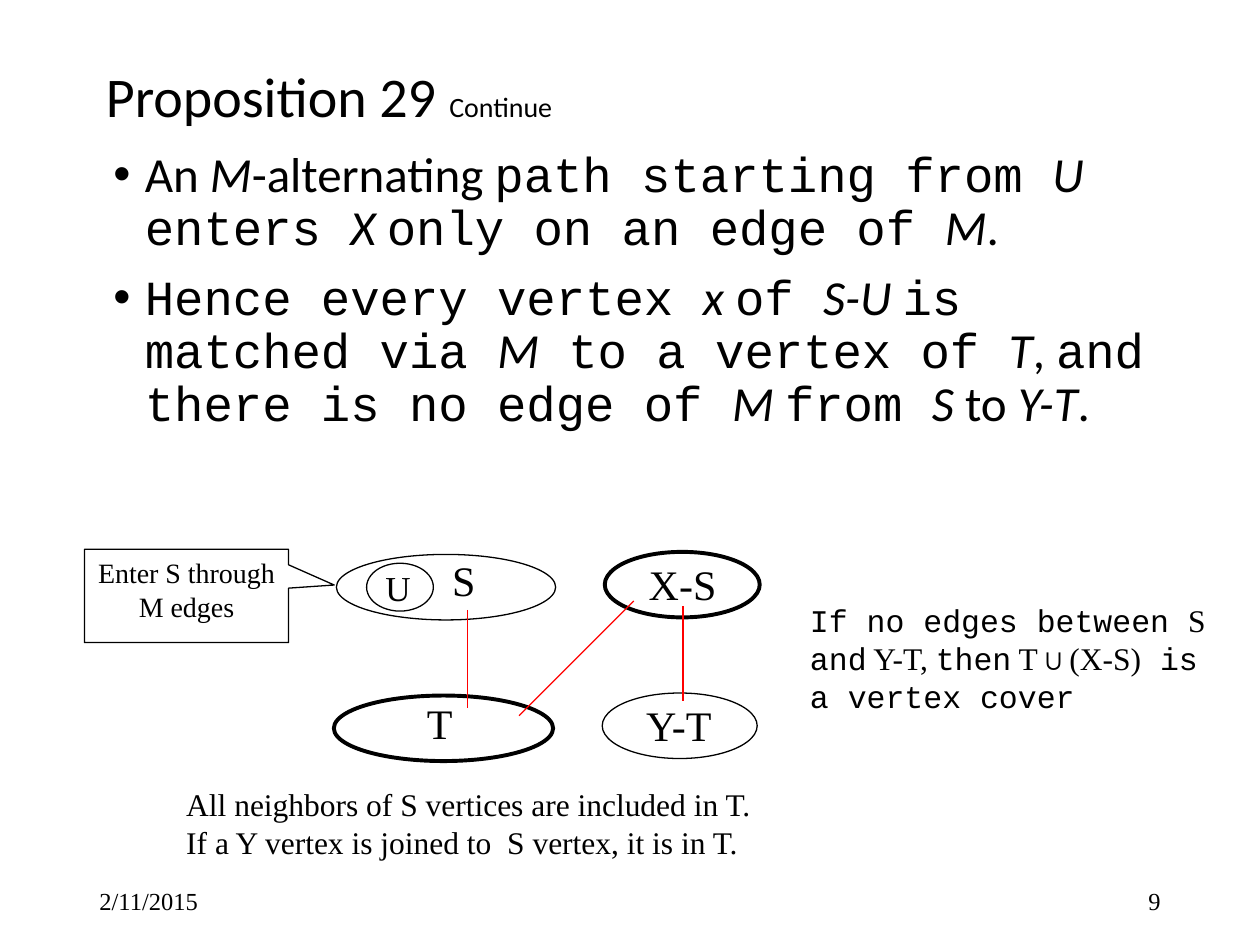
from lxml import etree
from pptx import Presentation
from pptx import util as u
from pptx.dml.color import RGBColor
from pptx.enum import shapes, text
from pptx.oxml.ns import qn

COLORS = {"ink": "000000", "edge": "FF0000"}
STYLES = {
    "mono": {"name": "Courier New", "italic": False},
    "sans": {"name": "Calibri", "italic": False},
    "var": {"name": "Calibri", "italic": True},
    "serif": {"name": "Times New Roman", "italic": False},
}
LEFT, CENTER, RIGHT = text.PP_ALIGN.LEFT, text.PP_ALIGN.CENTER, text.PP_ALIGN.RIGHT


def color(key):
    return RGBColor.from_string(COLORS[key])


def apply(obj, values):
    for name, value in values.items():
        setattr(obj, name, value)


def place(sp, box):
    apply(sp, dict(zip(("left", "top", "width", "height"), map(u.Inches, box))))


def add_runs(p, runs, size):
    for words, style, *own_size in runs:
        r = p.add_run()
        r.text = words
        apply(r.font, {**STYLES[style], "size": u.Pt(own_size[0] if own_size else size)})
        r.font.color.rgb = color("ink")


def fill_frame(tf, paragraphs, size, align=LEFT, anchor=text.MSO_ANCHOR.TOP):
    apply(tf, {"word_wrap": True, "auto_size": text.MSO_AUTO_SIZE.NONE, "vertical_anchor": anchor})
    for i, runs in enumerate(paragraphs):
        p = tf.add_paragraph() if i else tf.paragraphs[0]
        p.alignment = align
        add_runs(p, runs, size)


def add_text(s, box, paragraphs, size, **options):
    sp = s.shapes.add_textbox(*map(u.Inches, box))
    fill_frame(sp.text_frame, paragraphs, size, **options)


def add_outline(s, kind, box, weight=0.75):
    sp = s.shapes.add_shape(kind, *map(u.Inches, box))
    sp.shadow.inherit = False
    sp.fill.background()
    sp.line.color.rgb = color("ink")
    sp.line.width = u.Pt(weight)
    return sp


def add_edge(s, start, end):
    line = s.shapes.add_connector(shapes.MSO_CONNECTOR.STRAIGHT, *map(u.Inches, start + end))
    line.line.color.rgb = color("edge")
    line.line.width = u.Pt(0.75)
    etree.SubElement(line._element.spPr, qn("a:effectLst"))


def title(s, box):
    sp = s.shapes.title
    place(sp, box)
    runs = [("Proposition 29 ", "sans"), ("Continue", "sans", 16)]
    fill_frame(sp.text_frame, [runs], 32, anchor=text.MSO_ANCHOR.MIDDLE)
    sp.text_frame.paragraphs[0].line_spacing = 0.9


def body(s, box):
    sp = s.placeholders[1]
    place(sp, box)
    fill_frame(sp.text_frame, [
        [("An ", "sans"), ("M", "var"), ("-alternating ", "sans"),
         ("path starting from ", "mono"), ("U ", "var"), ("enters ", "mono"),
         ("X ", "var"), ("only on an edge of ", "mono"), ("M", "var"), (".", "sans")],
        [("Hence every vertex ", "mono"), ("x ", "var"), ("of ", "mono"),
         ("S-U ", "var"), ("is matched via ", "mono"), ("M", "var"),
         (" to a vertex of ", "mono"), ("T", "var"), (", ", "sans"),
         ("and there is no edge of ", "mono"), ("M ", "var"), ("from ", "mono"),
         ("S", "var"), (" to ", "sans"), ("Y-T", "var"), (".", "sans")],
    ], 28)
    for i, p in enumerate(sp.text_frame.paragraphs):
        pPr = p._p.get_or_add_pPr()
        pPr.set("marL", str(u.Inches(0.25)))
        pPr.set("indent", str(-u.Inches(0.25)))
        etree.SubElement(pPr, qn("a:buFont"), typeface="Arial")
        etree.SubElement(pPr, qn("a:buChar"), char="•")
        apply(p, {"line_spacing": 0.9, "space_before": u.Pt(10 if i else 0)})


def diagram(s, box):
    x, y = box[:2]
    oval = shapes.MSO_SHAPE.OVAL
    sets = [
        ("S", (0.02, 0.05), 1.74, 0.75, (0.84, 0)),
        ("X-S", (2.15, 0.03), 1.23, 2.25, (2.4, 0.03)),
        ("T", (0, 1.17), 1.74, 2.25, (0.64, 1.14)),
        ("Y-T", (2.13, 1.15), 1.23, 0.75, (2.38, 1.15)),
    ]
    for label, (dx, dy), width, weight, (tx, ty) in sets:
        add_outline(s, oval, (x + dx, y + dy, width, 0.52), weight)
        add_text(s, (x + tx, y + ty, 0.81, 0.5), [[(label, "serif")]], 24)
    add_text(s, (x + 0.31, y + 0.1, 0.81, 0.44), [[("U", "serif")]], 20)
    add_outline(s, oval, (x + 0.26, y + 0.12, 0.53, 0.38))
    edges = [((1.47, 1.33), (2.38, 0.42)), ((1.06, 0.49), (1.06, 1.27)), ((2.77, 0.46), (2.77, 1.21))]
    for (x1, y1), (x2, y2) in edges:
        add_edge(s, (x + x1, y + y1), (x + x2, y + y2))


def callout(s, box):
    sp = add_outline(s, shapes.MSO_SHAPE.RECTANGULAR_CALLOUT, box)
    sp.adjustments[0], sp.adjustments[1] = 0.724, -0.117
    fill_frame(sp.text_frame, [[("Enter S through M edges", "serif")]], 16, align=CENTER)


def cover_note(s, box):
    add_text(s, box, [[
        ("If no edges between ", "mono"), ("S ", "serif"), ("and", "mono"),
        (" Y-T, ", "serif"), ("then", "mono"), (" T∪(X-S)", "serif"),
        (" is a vertex cover", "mono"),
    ]], 18)


def neighbor_note(s, box):
    lines = ["All neighbors of S vertices are included in T.",
             "If a Y vertex is joined to  S vertex, it is in T."]
    add_text(s, box, [[(line, "serif")] for line in lines], 18)


def footer(s, box):
    x, y, width, height = box
    part = 2.25
    for left, words, align in ((x, "2/11/2015", LEFT), (x + width - part, "9", RIGHT)):
        add_text(s, (left, y, part, height), [[(words, "serif")]], 14,
                 align=align, anchor=text.MSO_ANCHOR.MIDDLE)


def main():
    prs = Presentation()
    prs.slide_width, prs.slide_height = u.Inches(10), u.Inches(7.5)
    s = prs.slides.add_slide(prs.slide_layouts[1])
    footer(s, (0.69, 6.95, 8.62, 0.4))
    title(s, (0.74, 0.29, 8.5, 1))
    body(s, (0.8, 1.14, 8.76, 2.58))
    diagram(s, (2.65, 4.35, 3.38, 1.69))
    cover_note(s, (6.33, 4.72, 3.39, 1.01))
    callout(s, (0.67, 4.36, 1.62, 0.74))
    neighbor_note(s, (1.38, 6.18, 5.93, 0.71))
    prs.save("out.pptx")


if __name__ == "__main__":
    main()
